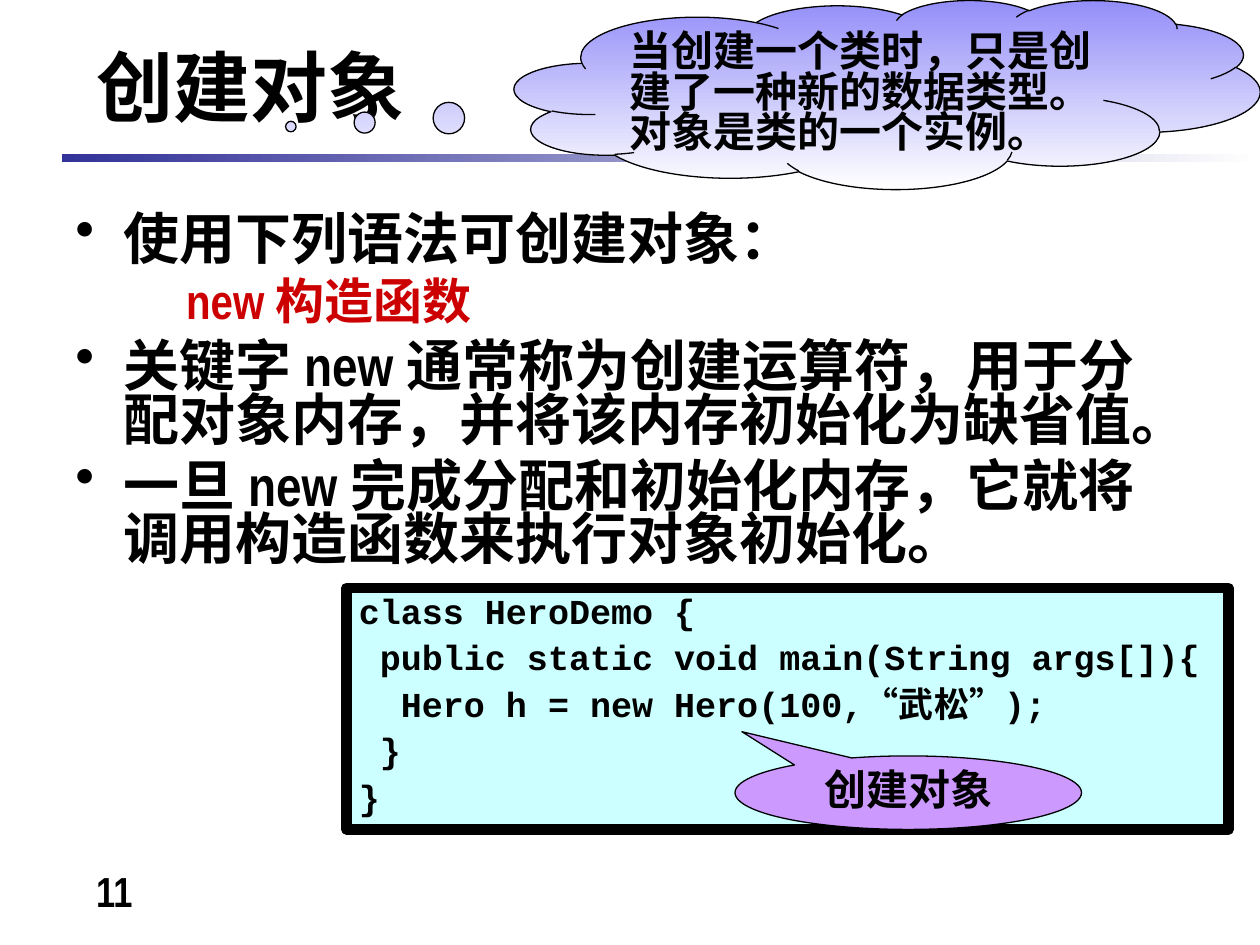
from pptx import Presentation
from pptx.dml.color import RGBColor
from pptx.enum.shapes import MSO_SHAPE
from pptx.enum.text import MSO_ANCHOR, PP_ALIGN
from pptx.oxml.xmlchemy import OxmlElement
from pptx.util import Inches, Pt

RECT, CLOUD = MSO_SHAPE.RECTANGLE, MSO_SHAPE.CLOUD_CALLOUT
BALLOON = MSO_SHAPE.OVAL_CALLOUT
LEFT, CENTER = PP_ALIGN.LEFT, PP_ALIGN.CENTER
TOP, MIDDLE = MSO_ANCHOR.TOP, MSO_ANCHOR.MIDDLE

COLORS = {
    "ink": "000000", "paper": "FFFFFF", "rule": "333399", "syntax": "CC0000",
    "cloud": "938EF8", "code": "CCFFFF", "balloon": "CC99FF",
}
NARROW, SANS, MONO = "Arial Narrow", "Arial", "Courier New"
WIDTH, HEIGHT = Inches(10), Inches(7.5)
COLS, ROWS = 120, 90
HANG = Inches(0.38)
SYNTAX_INDENT = Inches(0.88)

POINTS = [
    ("使用下列语法可创建对象：", 0, True),
    ("new 构造函数", 7, False),
    ("关键字 new 通常称为创建运算符，用于分配对象内存，并将该内存初始化为缺省值。", 8, True),
    ("一旦 new 完成分配和初始化内存，它就将调用构造函数来执行对象初始化。", 7, True),
]
CODE = [
    "class HeroDemo {",
    " public static void main(String args[]){",
    "  Hero h = new Hero(100,“武松”);",
    " }",
    "}",
]


def rgb(name):
    """Return the named colour."""
    return RGBColor.from_string(COLORS[name])


def place(box):
    """Turn a box in grid columns and rows into slide lengths."""
    x, y, w, h = box
    return [int(v) for v in (x * WIDTH / COLS, y * HEIGHT / ROWS,
                             w * WIDTH / COLS, h * HEIGHT / ROWS)]


def add_shape(s, kind, box, fill, line=0, angle=None, adjust=()):
    """Add a shape with a solid fill, or a two-colour gradient if angled."""
    sp = s.shapes.add_shape(kind, *place(box))
    sp.shadow.inherit = False
    if angle is None:
        sp.fill.solid()
        sp.fill.fore_color.rgb = rgb(fill)
    else:
        sp.fill.gradient()
        sp.fill.gradient_angle = angle
        for stop, name in zip(sp.fill.gradient_stops, (fill, "paper")):
            stop.color.rgb = rgb(name)
    if line:
        sp.line.color.rgb = rgb("ink")
        sp.line.width = Pt(line)
    else:
        sp.line.fill.background()
    for i, value in enumerate(adjust):
        sp.adjustments[i] = value
    return sp


def add_text(s, box):
    """Add an empty text box."""
    return s.shapes.add_textbox(*place(box))


def write(sp, lines, size, font, align=LEFT, anchor=TOP, spacing=1.0, before=0):
    """Fill a shape with bold paragraphs of one style."""
    tf = sp.text_frame
    tf.word_wrap = True
    tf.vertical_anchor = anchor
    for i, line in enumerate(lines):
        p = tf.add_paragraph() if i else tf.paragraphs[0]
        p.text = line
        p.alignment = align
        p.line_spacing = spacing
        p.space_before = Pt(before if i else 0)
        for r in p.runs:
            r.font.size, r.font.name, r.font.bold = Pt(size), font, True
            r.font.color.rgb = rgb("ink")
    return tf


def indent(p, margin, bullet):
    """Indent a paragraph, hanging it from a bullet if it has one."""
    pPr = p._p.get_or_add_pPr()
    pPr.set("marL", str(margin))
    pPr.set("indent", str(-margin if bullet else 0))
    if bullet:
        mark = OxmlElement("a:buChar")
        mark.set("char", "•")
        pPr.append(mark)


def heading(s, box):
    """Place the title above its fading rule."""
    x, y, w, h = box
    add_shape(s, RECT, (x, y + h - 0.7, w, 0.7), "rule", angle=0)
    title = add_text(s, (x + 2.1, y, w - 11, h - 1.6))
    write(title, ["创建对象"], 44, NARROW, anchor=MIDDLE)


def body(s, box):
    """Place the bulleted points and the syntax line."""
    tf = write(add_text(s, box), [text for text, _, _ in POINTS], 32, NARROW,
               spacing=0.8)
    for p, (_, before, bullet) in zip(tf.paragraphs, POINTS):
        p.space_before = Pt(before)
        indent(p, HANG if bullet else SYNTAX_INDENT, bullet)
        if not bullet:
            p.runs[0].font.size = Pt(28)
            p.runs[0].font.color.rgb = rgb("syntax")


def cloud(s, box):
    """Place the thought cloud."""
    sp = add_shape(s, CLOUD, box, "cloud", 0.75, 270, (-0.8, 0.17))
    write(sp, ["当创建一个类时，只是创建了一种新的数据类型。对象是类的一个实例。"],
          24, NARROW, spacing=0.8)


def code_panel(s, box):
    """Place the code listing and the balloon that explains it."""
    x, y, w, h = box
    panel = add_shape(s, RECT, box, "code", 6)
    write(panel, CODE, 20, MONO, spacing=0.9, before=5)
    balloon = add_shape(s, BALLOON, (x + 37, y + h - 7, 33, 7), "balloon", 0.75,
                        adjust=(-0.48, -0.83))
    write(balloon, ["创建对象"], 24, SANS, CENTER, spacing=0.8)


def page_number(s, box):
    """Place the page number."""
    write(add_text(s, box), ["11"], 24, NARROW, CENTER)


def main():
    """Build the slide and save it."""
    prs = Presentation()
    prs.slide_width, prs.slide_height = WIDTH, HEIGHT
    s = prs.slides.add_slide(prs.slide_layouts[6])
    heading(s, (5.9, 2.5, 114.1, 12.9))
    body(s, (6, 20, 108.5, 36))
    cloud(s, (49, 0, 71, 18))
    code_panel(s, (33, 56, 84, 23))
    page_number(s, (2.4, 81.8, 17, 6.2))
    prs.save("out.pptx")


if __name__ == "__main__":
    main()
